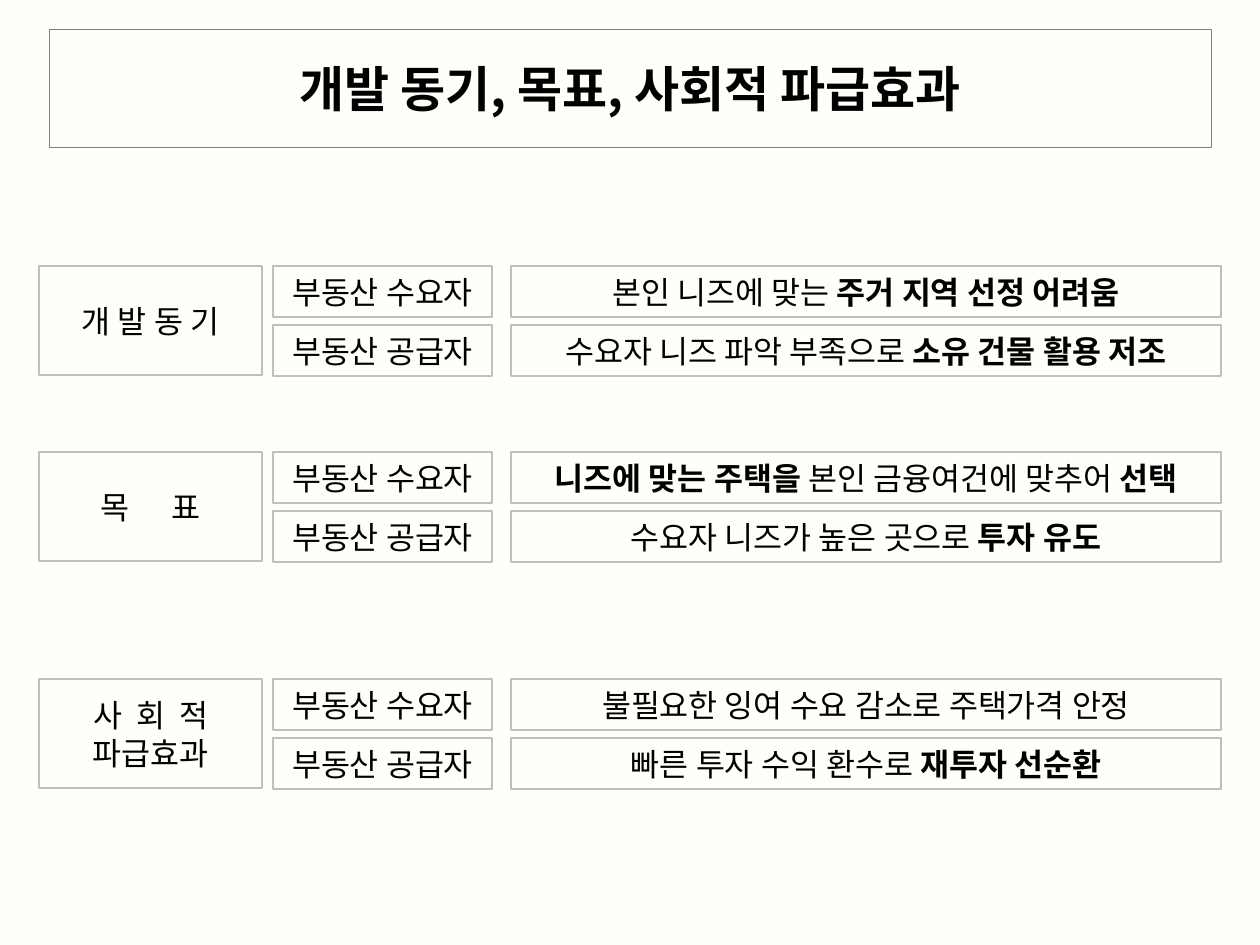
from lxml.etree import SubElement
from pptx import Presentation
from pptx.dml.color import RGBColor
from pptx.enum.shapes import MSO_SHAPE
from pptx.enum.text import MSO_ANCHOR, PP_ALIGN
from pptx.oxml import parse_xml
from pptx.oxml.ns import nsdecls, qn
from pptx.util import Pt

SCALE = 914400 / 126
FONT = "Noto Sans CJK KR"
ROLES = ["부동산 수요자", "부동산 공급자"]
GROUPS = [
    (266, ["개 발 동 기"], 0,
     ["본인 니즈에 맞는 *주거 지역 선정 어려움",
      "수요자 니즈 파악 부족으로 *소유 건물 활용 저조"]),
    (452, ["목 표"], 20,
     ["*니즈에 맞는 주택을 *본인 금융여건에 맞추어 *선택",
      "수요자 니즈가 높은 곳으로 *투자 유도"]),
    (679, ["사 회 적", "파급효과"], 4,
     ["불필요한 잉여 수요 감소로 주택가격 안정",
      "빠른 투자 수익 환수로 *재투자 선순환"]),
]


def px(num):
    """Turn pixels into EMU."""
    return round(num * SCALE)


def color(code):
    """Turn a hex string into a colour."""
    return RGBColor.from_string(code)


def add_run(para, words, size, bold, gap=0):
    """Add one run, with extra letter space in points."""
    run = para.add_run()
    run.text = words
    font = run.font
    font.size, font.bold, font.name = Pt(size), bold, FONT
    font.color.rgb = color("000000")
    SubElement(font._element, qn("a:ea"), typeface=FONT)
    if gap:
        font._element.set("spc", str(gap * 100))


def write(shape, lines, size=18, bold=False, gap=0, inset=13):
    """Write centred lines; each star switches bold, gap widens spaces."""
    frame = shape.text_frame
    frame.word_wrap = True
    frame.vertical_anchor = MSO_ANCHOR.MIDDLE
    frame.margin_left = frame.margin_right = px(inset)
    frame.margin_top = frame.margin_bottom = px(6)
    for row, line in enumerate(lines):
        para = frame.add_paragraph() if row else frame.paragraphs[0]
        para.alignment = PP_ALIGN.CENTER
        para.line_spacing = 1.0
        para.space_before = Pt(0)
        for part, words in enumerate(line.split("*")):
            heavy = bold or part % 2 == 1
            if gap:
                for spot, word in enumerate(words.split(" ")):
                    if spot:
                        add_run(para, " ", size, heavy, gap)
                    add_run(para, word, size, heavy)
            elif words:
                add_run(para, words, size, heavy)


def add_box(slide, left, top, width, height, lines, **form):
    """Add an outlined box with text."""
    box = slide.shapes.add_shape(
        MSO_SHAPE.RECTANGLE, px(left), px(top), px(width), px(height))
    box.shadow.inherit = False
    box.fill.background()
    box.line.color.rgb = color("BFBFBF")
    box.line.width = Pt(0.75)
    write(box, lines, **form)


def add_title(slide, left, top, width, height):
    """Place the title in a rounded frame."""
    title = slide.shapes.title
    title.left, title.top = px(left), px(top)
    title.width, title.height = px(width), px(height)
    title._element.spPr.insert(1, parse_xml(
        f'<a:prstGeom {nsdecls("a")} prst="roundRect"><a:avLst/></a:prstGeom>'))
    title.line.color.rgb = color("808080")
    title.line.width = Pt(0.25)
    write(title, ["개발 동기, 목표, 사회적 파급효과"], size=28, bold=True)


def add_group(slide, left, top, label, gap, notes):
    """Place a label with its rows of role and note."""
    add_box(slide, left, top, 223, 109, label, gap=gap)
    for row, (role, note) in enumerate(zip(ROLES, notes)):
        line = top + row * 59
        add_box(slide, left + 234, line, 219, 51, [role], inset=0)
        add_box(slide, left + 472, line, 710, 51, [note], inset=0)


def main():
    """Build the slide."""
    deck = Presentation()
    deck.slide_width, deck.slide_height = px(1260), px(945)
    slide = deck.slides.add_slide(deck.slide_layouts[5])
    back = slide.background.fill
    back.solid()
    back.fore_color.rgb = color("FFFFFA")
    add_title(slide, 49, 29, 1162, 118)
    for top, label, gap, notes in GROUPS:
        add_group(slide, 39, top, label, gap, notes)
    deck.save("out.pptx")


if __name__ == "__main__":
    main()
